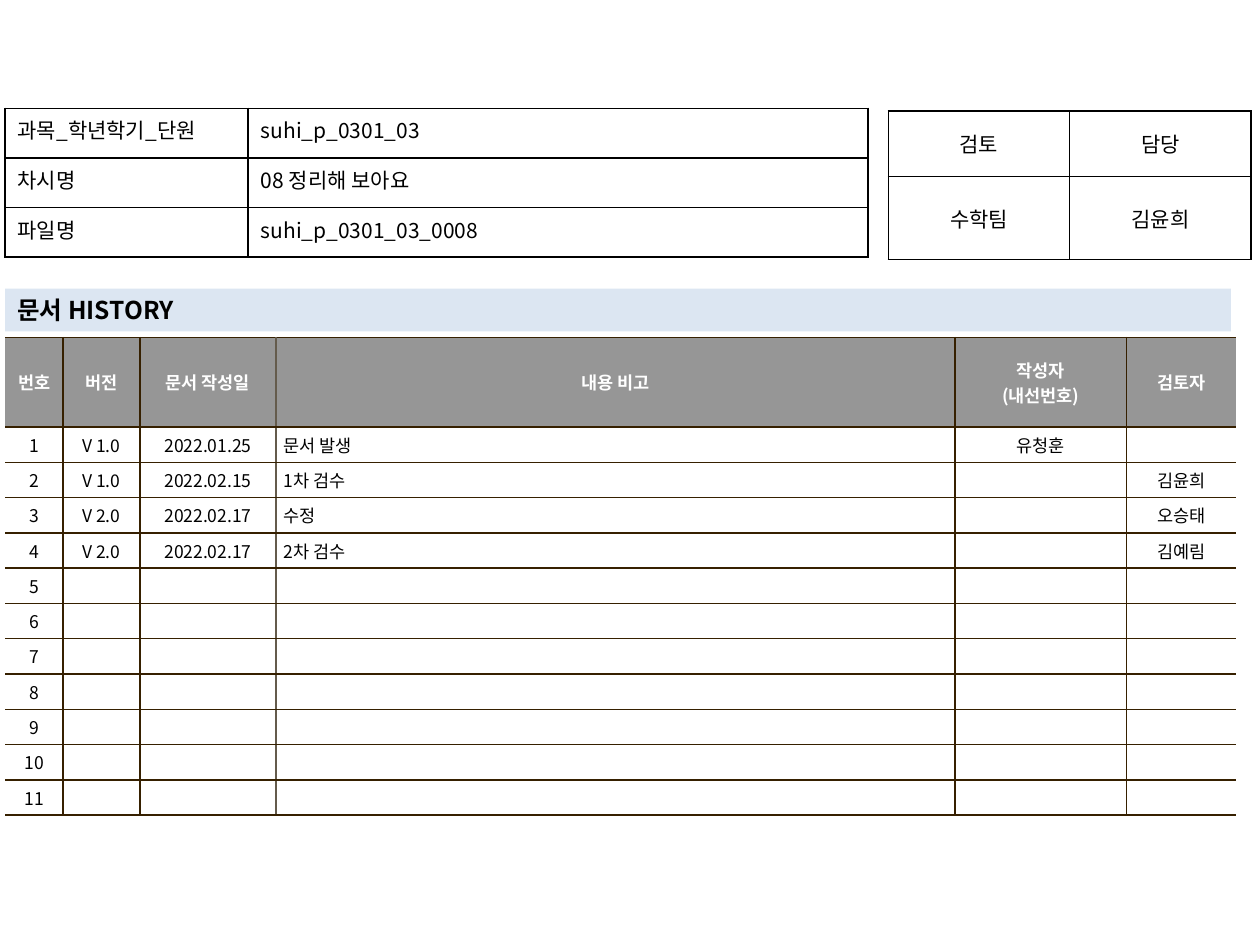
from lxml import etree
from pptx import Presentation
from pptx.dml.color import RGBColor
from pptx.enum.shapes import MSO_SHAPE
from pptx.enum.text import MSO_ANCHOR, PP_ALIGN
from pptx.oxml.ns import qn
from pptx.util import Inches, Pt

RECT = MSO_SHAPE.RECTANGLE
TOP, MID = MSO_ANCHOR.TOP, MSO_ANCHOR.MIDDLE
LEFT, CENTER, JUSTIFY = PP_ALIGN.LEFT, PP_ALIGN.CENTER, PP_ALIGN.JUSTIFY

FONT = "Noto Sans CJK KR"
BLACK, WHITE, GRAY, PALE = "000000", "FFFFFF", "969696", "DCE6F2"
BROWN, TAUPE = "362000", "645B4C"
PAD = (0.1, 0.05)
SLIM = (0.06, 0.04)

INFO = [
    ("과목_학년학기_단원", "suhi_p_0301_03"),
    ("차시명", "08 정리해 보아요"),
    ("파일명", "suhi_p_0301_03_0008"),
]
REVIEW = [("검토", "담당"), ("수학팀", "김윤희")]
HEADS = ("번호", "버전", "문서 작성일", "내용 비고", "작성자\n(내선번호)", "검토자")
EDITS = [
    ("V 1.0", "2022.01.25", "문서 발생", "유청훈", ""),
    ("V 1.0", "2022.02.15", "1차 검수", "", "김윤희"),
    ("V 2.0", "2022.02.17", "수정", "", "오승태"),
    ("V 2.0", "2022.02.17", "2차 검수", "", "김예림"),
]
COUNT = 11


def color(code):
    return RGBColor.from_string(code)


def write(frame, text, size, ink=BLACK, bold=False, align=LEFT):
    frame.text = text
    for para in frame.paragraphs:
        para.alignment = align
        for run in para.runs:
            form = {"size": Pt(size), "name": FONT, "bold": bold}
            for key, value in form.items():
                setattr(run.font, key, value)
            run.font.color.rgb = color(ink)
            ea = etree.SubElement(run.font._element, qn("a:ea"))
            ea.set("typeface", FONT)
        if not para.runs:
            # Keeps an empty cell from growing its row
            end = etree.SubElement(para._p, qn("a:endParaRPr"))
            end.set("sz", str(size * 100))


def edge(cell, sides):
    """Draw the borders of a cell; a side without a colour stays bare."""
    props = cell._tc.get_or_add_tcPr()
    for spot, side in enumerate("LRTB"):
        line = etree.Element(qn(f"a:ln{side}"), w=str(Pt(1)))
        ink = sides[side]
        if ink:
            fill = etree.SubElement(line, qn("a:solidFill"))
            etree.SubElement(fill, qn("a:srgbClr"), val=ink)
        else:
            etree.SubElement(line, qn("a:noFill"))
        props.insert(spot, line)


def grid(slide, box, cols, rows):
    """Add a plain table whose columns and rows share the box by weight."""
    left, top, width, height = map(Inches, box)
    frame = slide.shapes.add_table(len(rows), len(cols), left, top, width, height)
    table = frame.table
    table.first_row = table.horz_banding = False
    for col, part in zip(table.columns, cols):
        col.width = round(width * part / sum(cols))
    for row, part in zip(table.rows, rows):
        row.height = round(height * part / sum(rows))
    return table


def dress(cell, pad, anchor, fill=None):
    across, down = map(Inches, pad)
    form = {
        "margin_left": across, "margin_right": across,
        "margin_top": down, "margin_bottom": down,
        "vertical_anchor": anchor,
    }
    for key, value in form.items():
        setattr(cell, key, value)
    if fill:
        cell.fill.solid()
        cell.fill.fore_color.rgb = color(fill)
    else:
        cell.fill.background()


def panel(slide, box, cols, rows, data, aligns, anchor):
    """Place a black-ruled table with no fill."""
    table = grid(slide, box, cols, rows)
    for r, texts in enumerate(data):
        for c, text in enumerate(texts):
            cell = table.cell(r, c)
            dress(cell, PAD, anchor)
            write(cell.text_frame, text, 12, align=aligns[c])
            edge(cell, dict.fromkeys("LRTB", BLACK))


def banner(slide, box, text):
    bar = slide.shapes.add_shape(RECT, *map(Inches, box))
    bar.shadow.inherit = False
    bar.fill.solid()
    bar.fill.fore_color.rgb = color(PALE)
    bar.line.fill.background()
    bar.text_frame.vertical_anchor = MID
    write(bar.text_frame, text, 14, bold=True)


def history(slide, box):
    table = grid(slide, box, (46, 61, 108, 539, 136, 87), (71,) + (28,) * COUNT)
    blank = ("",) * (len(HEADS) - 1)
    edits = EDITS + [blank] * (COUNT - len(EDITS))
    data = [HEADS] + [(str(n), *edit) for n, edit in enumerate(edits, 1)]
    rules = (None, BROWN, BROWN, TAUPE, BROWN, BROWN, None)
    for r, texts in enumerate(data):
        head = r == 0
        for c, text in enumerate(texts):
            cell = table.cell(r, c)
            dress(cell, SLIM, MID, GRAY if head else WHITE)
            note = c == 3 and not head
            write(cell.text_frame, text, 10, WHITE if head else BLACK,
                  head, LEFT if note else CENTER)
            edge(cell, {"L": rules[c], "R": rules[c + 1], "T": BROWN, "B": BROWN})


def main():
    deck = Presentation()
    deck.slide_width, deck.slide_height = Inches(10), Inches(7.5)
    slide = deck.slides.add_slide(deck.slide_layouts[6])
    left = 0.04
    history(slide, (left, 2.68, 9.77, 3.79))
    panel(slide, (7.05, 0.88, 2.88, 1.18), (1, 1), (52, 66),
          REVIEW, (CENTER, CENTER), MID)
    banner(slide, (left, 2.29, 9.73, 0.34), "문서 HISTORY")
    panel(slide, (left, 0.86, 6.85, 1.18), (193, 492), (1, 1, 1),
          INFO, (JUSTIFY, LEFT), TOP)
    deck.save("out.pptx")


if __name__ == "__main__":
    main()
